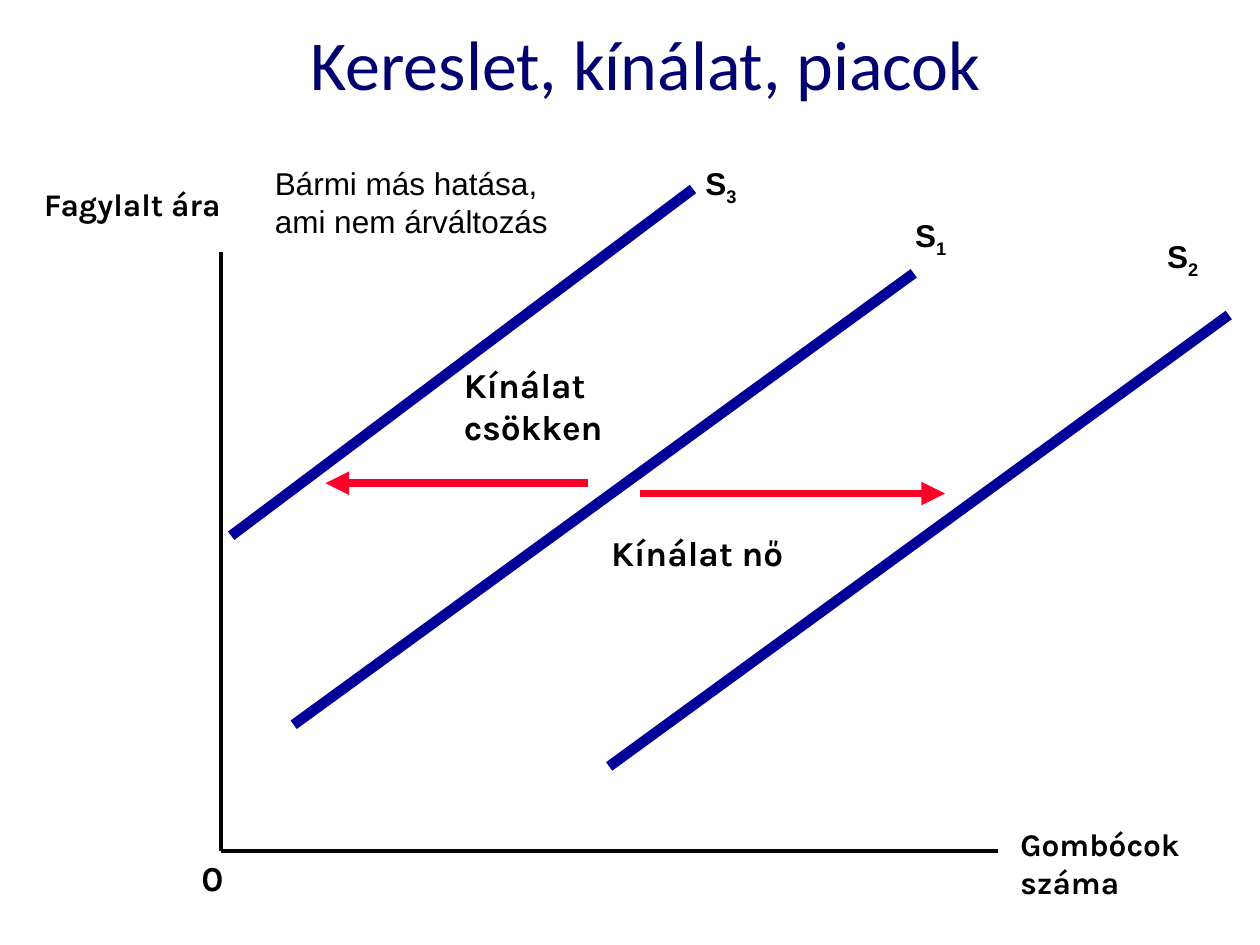
from lxml import etree
from pptx import Presentation
from pptx.dml.color import RGBColor
from pptx.enum.shapes import MSO_CONNECTOR
from pptx.enum.text import MSO_ANCHOR, PP_ALIGN
from pptx.oxml.ns import qn
from pptx.util import Cm, Pt

STRAIGHT = MSO_CONNECTOR.STRAIGHT
MIDDLE, TOP = MSO_ANCHOR.MIDDLE, MSO_ANCHOR.TOP
CENTER, LEFT = PP_ALIGN.CENTER, PP_ALIGN.LEFT
BLACK, NAVY, BLUE, RED = "000000", "000070", "000099", "FC0128"


def color(value):
    """Return the colour for a hex string."""
    return RGBColor.from_string(value)


def add_span(para, text, font, size, bold, ink, baseline=0):
    """Add one formatted run to a paragraph."""
    span = para.add_run()
    span.text = text
    span.font.name = font
    span.font.size = Pt(size)
    span.font.bold = bold
    span.font.color.rgb = color(ink)
    if baseline:
        span.font._element.set("baseline", str(baseline * 1000))


def add_label(shapes, place, text, font="Karla", size=18, bold=True,
              ink=BLACK, align=LEFT, anchor=TOP, subscript=""):
    """Add a wrapped text box with an optional subscript."""
    box = shapes.add_textbox(*map(Cm, place))
    frame = box.text_frame
    frame.word_wrap = True
    frame.vertical_anchor = anchor
    para = frame.paragraphs[0]
    para.alignment = align
    add_span(para, text, font, size, bold, ink)
    if subscript:
        add_span(para, subscript, font, size, bold, ink, -25)


def add_line(shapes, start, end, ink, width, arrow=False):
    """Add a straight line, with an arrowhead at its end if asked."""
    line = shapes.add_connector(STRAIGHT, *map(Cm, start + end))
    line.line.color.rgb = color(ink)
    line.line.width = Pt(width)
    etree.SubElement(line._element.spPr, qn("a:effectLst"))
    if arrow:
        outline = line.line._get_or_add_ln()
        etree.SubElement(outline, qn("a:tailEnd"), type="triangle")


def add_axes(shapes):
    """Add the price and quantity axes with their labels."""
    origin = (4.45, 17.15)
    add_line(shapes, (4.45, 5.08), origin, BLACK, 2.25)
    add_line(shapes, origin, (20.11, 17.15), BLACK, 2.25)
    add_label(shapes, (0.64, 3.6, 4.23, 1.78), "Fagylalt ára")
    add_label(shapes, (20.32, 16.51, 4.23, 1.78), "Gombócok száma")
    add_label(shapes, (3.81, 17.15, 1.27, 1.12), "0", size=20)


def add_supply(shapes, start, end, number, label_at):
    """Add a supply curve and its numbered label."""
    add_line(shapes, start, end, BLUE, 6)
    add_label(shapes, label_at + (1.7, 1.12), "S", "Arial", subscript=number)


def add_shift(shapes, start, end, text, label_place):
    """Add a labelled arrow for a shift in supply."""
    add_label(shapes, label_place, text, size=20)
    add_line(shapes, start, end, RED, 4.5, arrow=True)


def main():
    """Build the supply shift slide."""
    deck = Presentation()
    deck.slide_width, deck.slide_height = Cm(25.4), Cm(19.05)
    page = deck.slides.add_slide(deck.slide_layouts[6])
    shapes = page.shapes

    add_label(shapes, (0.64, 0.2, 24.76, 2.11), "Kereslet, kínálat, piacok",
              "Calibri", 40, False, NAVY, CENTER, MIDDLE)
    add_axes(shapes)
    add_supply(shapes, (5.92, 14.61), (18.42, 5.51), "1", (18.2, 4.23))
    for curve in (
        ((12.28, 15.45), (24.77, 6.35), "2", (23.28, 4.66)),
        ((4.66, 10.8), (13.97, 3.81), "3", (13.97, 3.18)),
    ):
        add_supply(shapes.add_group_shape().shapes, *curve)
    for shift in (
        ((12.91, 9.95), (19.05, 9.95), "Kínálat nő",
         (12.07, 10.58, 4.66, 1.12)),
        ((11.85, 9.74), (6.56, 9.74), "Kínálat csökken",
         (9.1, 7.2, 4.66, 1.95)),
    ):
        add_shift(shapes.add_group_shape().shapes, *shift)
    add_label(shapes, (5.29, 3.18, 6.56, 1.78),
              "Bármi más hatása, ami nem árváltozás", "Arial", bold=False)
    deck.save("out.pptx")


if __name__ == "__main__":
    main()
